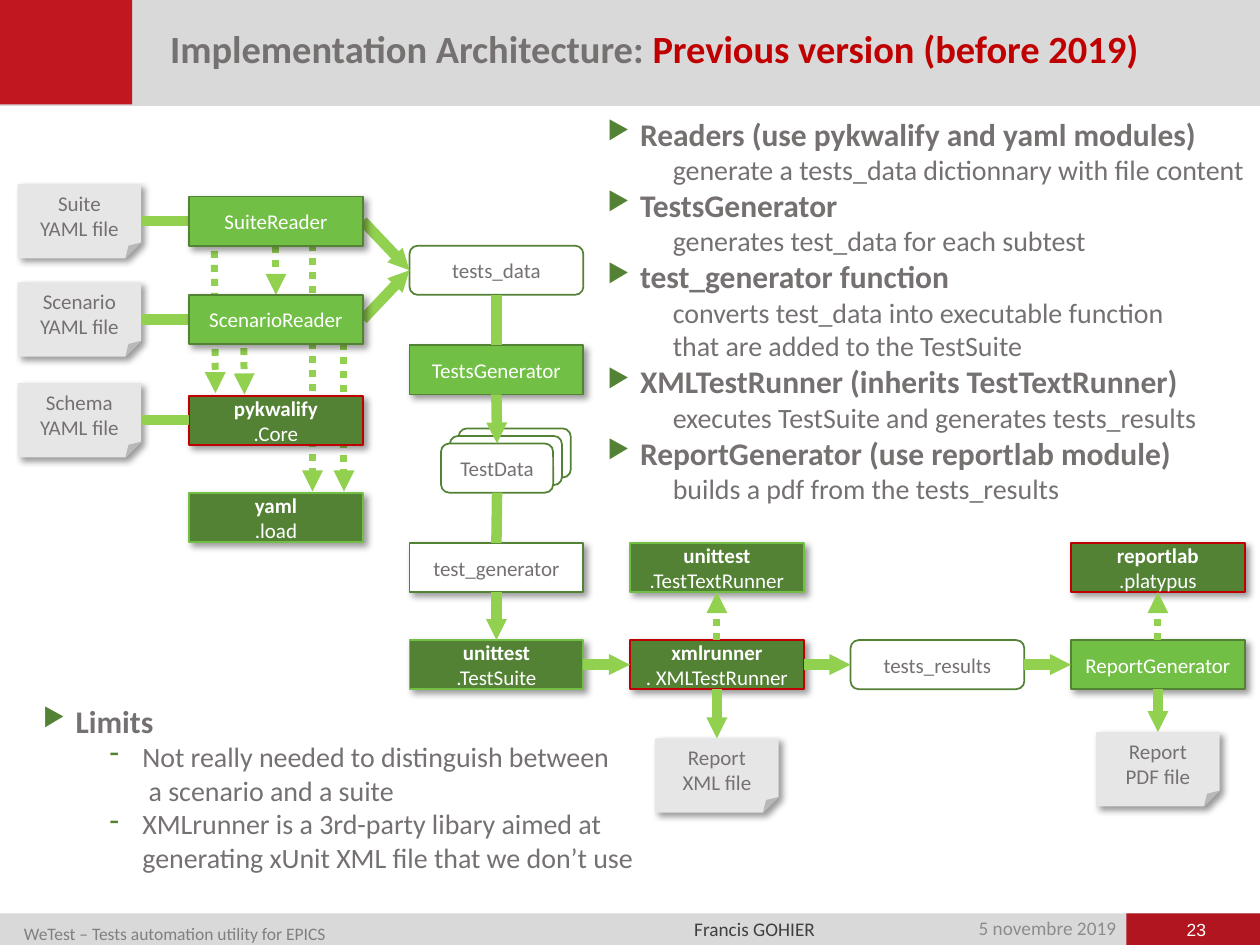
from lxml import etree
from pptx import Presentation
from pptx.dml.color import RGBColor
from pptx.enum.dml import MSO_LINE as DASH
from pptx.enum.shapes import MSO_CONNECTOR as LINK, MSO_SHAPE as FORM
from pptx.enum.text import MSO_ANCHOR as ANCHOR, PP_ALIGN as ALIGN
from pptx.oxml import parse_xml
from pptx.oxml.ns import nsdecls, qn
from pptx.util import Inches, Pt

HUE = {
    "band": "D9D9D9", "page": "B1151F", "mark": "C11720", "text": "767171",
    "date": "8C8C8C", "foot": "808080", "name": "3F3F3F", "white": "FFFFFF",
    "red": "C00000", "dark": "548235", "green": "71BF44", "link": "92D050",
    "file": "E7E6E6", "black": "000000",
}
TOP, LEFT, BOTTOM, RIGHT = range(4)
WIDE, HIGH = 1.38, 0.39
STEP = 1.75
# Box styles: form, fill, outline, text colour, shadow
STYLE = {
    "own": (FORM.RECTANGLE, "green", "dark", "white", True),
    "base": (FORM.RECTANGLE, "dark", "green", "white", True),
    "extra": (FORM.RECTANGLE, "dark", "red", "white", True),
    "func": (FORM.RECTANGLE, "white", "dark", "text", True),
    "data": (FORM.ROUNDED_RECTANGLE, "white", "dark", "text", False),
    "file": (FORM.FOLDED_CORNER, "file", None, "text", True),
}


def rgb(hue):
    return RGBColor.from_string(HUE[hue])


def ink(run, size, hue, bold=False, face="Calibri"):
    font = run.font
    font.size, font.bold, font.name = Pt(size), bold, face
    font.color.rgb = rgb(hue)


def shade(shape):
    shape.element.spPr.append(parse_xml(
        f'<a:effectLst {nsdecls("a")}><a:outerShdw blurRad="{Pt(4)}" dist="{Pt(3)}" '
        f'dir="2700000" algn="tl" rotWithShape="0"><a:srgbClr val="{HUE["black"]}">'
        '<a:alpha val="40000"/></a:srgbClr></a:outerShdw></a:effectLst>'))


def block(slide, form, x, y, w, h, fill, edge=None, shadow=False):
    shape = slide.shapes.add_shape(form, Inches(x), Inches(y), Inches(w), Inches(h))
    if shadow:
        shade(shape)
    else:
        shape.shadow.inherit = False
    shape.fill.solid()
    shape.fill.fore_color.rgb = rgb(fill)
    if edge:
        shape.line.color.rgb = rgb(edge)
        shape.line.width = Pt(1)
    else:
        shape.line.fill.background()
    return shape


def node(slide, kind, text, x, y, w=WIDE, h=HIGH):
    """Diagram box; in library boxes the first line is bold."""
    form, fill, edge, hue, shadow = STYLE[kind]
    shape = block(slide, form, x, y, w, h, fill, edge, shadow)
    frame = shape.text_frame
    frame.text = text
    frame.word_wrap = True
    frame.vertical_anchor = ANCHOR.TOP if kind == "file" else ANCHOR.MIDDLE
    for para in frame.paragraphs:
        para.alignment = ALIGN.CENTER
        for i, run in enumerate(para.runs):
            ink(run, 12, hue, bold=kind in ("base", "extra") and i == 0)
    return shape


def sheet(slide, text, x, y):
    shape = node(slide, "file", text, x, y, 0.98, 0.59)
    # Size of the folded corner
    guides = shape.element.spPr.find(qn("a:prstGeom")).find(qn("a:avLst"))
    etree.SubElement(guides, qn("a:gd"), name="adj", fmla="val 21200")
    return shape


def arrow(slide, ends=(0, 0, 0, 0), dots=False, head=True):
    line = slide.shapes.add_connector(LINK.STRAIGHT, *map(Inches, ends))
    line.line.color.rgb = rgb("link")
    line.line.width = Pt(4 if dots else 6)
    if dots:
        line.line.dash_style = DASH.ROUND_DOT
    if head:
        size = "med" if dots else "sm"
        etree.SubElement(line.line._get_or_add_ln(), qn("a:tailEnd"),
                         type="triangle", w=size, len=size)
    etree.SubElement(line.element.spPr, qn("a:effectLst"))
    return line


def join(slide, start, out, end, into, **look):
    line = arrow(slide, **look)
    line.begin_connect(start, out)
    line.end_connect(end, into)


def label(slide, x, y, w, h, text, pad=(0.08, 0), wrap=True):
    box = slide.shapes.add_textbox(Inches(x), Inches(y), Inches(w), Inches(h))
    frame = box.text_frame
    frame.margin_left = frame.margin_right = Inches(pad[0])
    frame.margin_top = frame.margin_bottom = Inches(pad[1])
    frame.word_wrap = wrap
    frame.text = text
    return frame


def header(slide, x, y, w, h):
    block(slide, FORM.RECTANGLE, x, y, w, h, "band")
    block(slide, FORM.RECTANGLE, x - 0.01, y, 1.06, h - 0.01, "mark")
    frame = label(slide, x + 1.21, y + 0.24, 8.33, 0.41,
                  "Implementation Architecture: ", (0.14, 0.05))
    frame.vertical_anchor = ANCHOR.MIDDLE
    para = frame.paragraphs[0]
    para.line_spacing = 0.8
    para.add_run().text = "Previous version (before 2019)"
    for run, hue in zip(para.runs, ("text", "red")):
        ink(run, 22, hue, bold=True)


def footer(slide, x, y, w, h):
    block(slide, FORM.RECTANGLE, x, y, w, h, "band")
    block(slide, FORM.RECTANGLE, x + w - 1.06, y, 1.06, h, "page")
    for dx, dy, wide, text, size, hue, align, gap, face in (
        (7.21, 0.04, 1.73, "5 novembre 2019", 11, "date", ALIGN.RIGHT, 0.9, "Calibri"),
        (0.11, 0.01, 4.52, "WeTest – Tests automation utility for EPICS", 10, "foot",
         ALIGN.LEFT, 1.4, "Calibri"),
        (5.43, 0.03, 1.13, "Francis GOHIER", 11, "name", ALIGN.LEFT, 1.0, "Calibri"),
        (9.15, 0.04, 0.69, "23", 10, "white", ALIGN.CENTER, 1.0, "Arial"),
    ):
        para = label(slide, x + dx, y + dy, wide, 0.18, text,
                     wrap=hue != "name").paragraphs[0]
        para.alignment, para.line_spacing = align, gap
        ink(para.runs[0], size, hue, face=face)


def readers(slide, x, y):
    """YAML files, the readers and the libraries they call."""
    for x1, y1, x2, y2 in ((1.79, 0.97, 1.8, 1.67), (2.34, 0.48, 2.34, 2.44),
                           (2.59, 1.26, 2.59, 2.44), (1.56, 0.42, 1.57, 1.66)):
        arrow(slide, (x + x1, y + y1, x + x2, y + y2), dots=True)
    rows = (("own", "SuiteReader", "Suite", 0.1),
            ("own", "ScenarioReader", "Scenario", 0.88),
            ("extra", "pykwalify\v.Core", "Schema", 1.68),
            ("base", "yaml\v.load", None, 2.45))
    boxes = []
    for kind, text, name, dy in rows:
        box = node(slide, kind, text, x + 1.36, y + dy)
        boxes.append(box)
        if name:
            page = sheet(slide, f"{name}\vYAML file", x, y + dy - 0.1)
            join(slide, page, RIGHT, box, LEFT, head=False)
    join(slide, boxes[0], BOTTOM, boxes[1], TOP, dots=True)
    return boxes[:2]


def flow(slide, x, y, sources):
    """Chain from test data down to the runner and across to the reports."""
    data = node(slide, "data", "tests_data", x, y)
    maker = node(slide, "own", "TestsGenerator", x, y + 0.79)
    for i in (2, 1, 0):
        card = node(slide, "data", "TestData", x + 0.25 + 0.07 * i,
                    y + 1.57 - 0.06 * i, 0.89)
    func = node(slide, "func", "test_generator", x, y + 2.36)
    chain = [node(slide, kind, text, x + STEP * i, y + 3.13)
             for i, (kind, text) in enumerate((
                 ("base", "unittest\v.TestSuite"),
                 ("extra", "xmlrunner\v. XMLTestRunner"),
                 ("data", "tests_results"),
                 ("own", "ReportGenerator")))]
    # Downward chain
    steps = (data, maker, card, func, chain[0])
    for i, (start, end) in enumerate(zip(steps, steps[1:])):
        join(slide, start, BOTTOM, end, TOP, head=i % 2 == 1)
    # Chain across
    for start, end in zip(chain, chain[1:]):
        join(slide, start, RIGHT, end, LEFT)
    # Library above and report below
    for i, kind, lib, form, dy in (
        (1, "base", "unittest\v.TestTextRunner", "XML", 3.91),
        (3, "extra", "reportlab\v.platypus", "PDF", 3.86),
    ):
        left = x + STEP * i
        above = node(slide, kind, lib, left, y + 2.36)
        below = sheet(slide, f"Report\n{form} file", left + 0.2, y + dy)
        join(slide, chain[i], TOP, above, BOTTOM, dots=True)
        join(slide, chain[i], BOTTOM, below, TOP)
    # Readers feed the data and stay in front of their arrows
    for box in sources:
        join(slide, box, RIGHT, data, LEFT)
        box.element.getparent().append(box.element)


def notes(slide, x, y, w, h, items, dash=False):
    """Bold bulleted heads, each followed by detail lines."""
    lines = [(i == 0, text) for item in items for i, text in enumerate(item)]
    frame = label(slide, x, y, w, h, "\n".join(t for _, t in lines), (0.14, 0.07))
    for para, (head, _) in zip(frame.paragraphs, lines):
        mark = "▶" if head else "-" if dash else None
        para.level = 0 if head else 1
        props = para._p.get_or_add_pPr()
        props.set("marL", str(Inches(0.26 if head else 0.79 if dash else 0.52)))
        props.set("indent", str(Inches(-0.26 if mark else 0)))
        if mark:
            tint = etree.SubElement(props, qn("a:buClr"))
            etree.SubElement(tint, qn("a:srgbClr"), val=HUE["dark"])
            etree.SubElement(props, qn("a:buSzPct"), val="80000" if head else "100000")
            etree.SubElement(props, qn("a:buChar"), char=mark)
        for run in para.runs:
            ink(run, 18 if head else 16, "text", bold=head)


def main():
    deck = Presentation()
    deck.slide_width, deck.slide_height = Inches(10), Inches(7.5)
    slide = deck.slides.add_slide(deck.slide_layouts[6])
    footer(slide, 0, 7.25, 10, 0.26)
    header(slide, 0, -0.03, 10, 0.87)
    flow(slide, 3.25, 1.95, readers(slide, 0.14, 1.46))
    notes(slide, 4.68, 0.84, 5.37, 3.81, (
        ("Readers (use pykwalify and yaml modules)",
         "generate a tests_data dictionnary with file content"),
        ("TestsGenerator", "generates test_data for each subtest"),
        ("test_generator function",
         "converts test_data into executable function\vthat are added to the TestSuite"),
        ("XMLTestRunner (inherits TestTextRunner)",
         "executes TestSuite and generates tests_results"),
        ("ReportGenerator (use reportlab module)", "builds a pdf from the tests_results")))
    notes(slide, 0.2, 5.5, 5.23, 1.58, ((
        "Limits",
        "Not really needed to distinguish between\v a scenario and a suite",
        "XMLrunner is a 3rd-party libary aimed at generating xUnit XML file "
        "that we don’t use"),), dash=True)
    deck.save("out.pptx")


if __name__ == "__main__":
    main()
